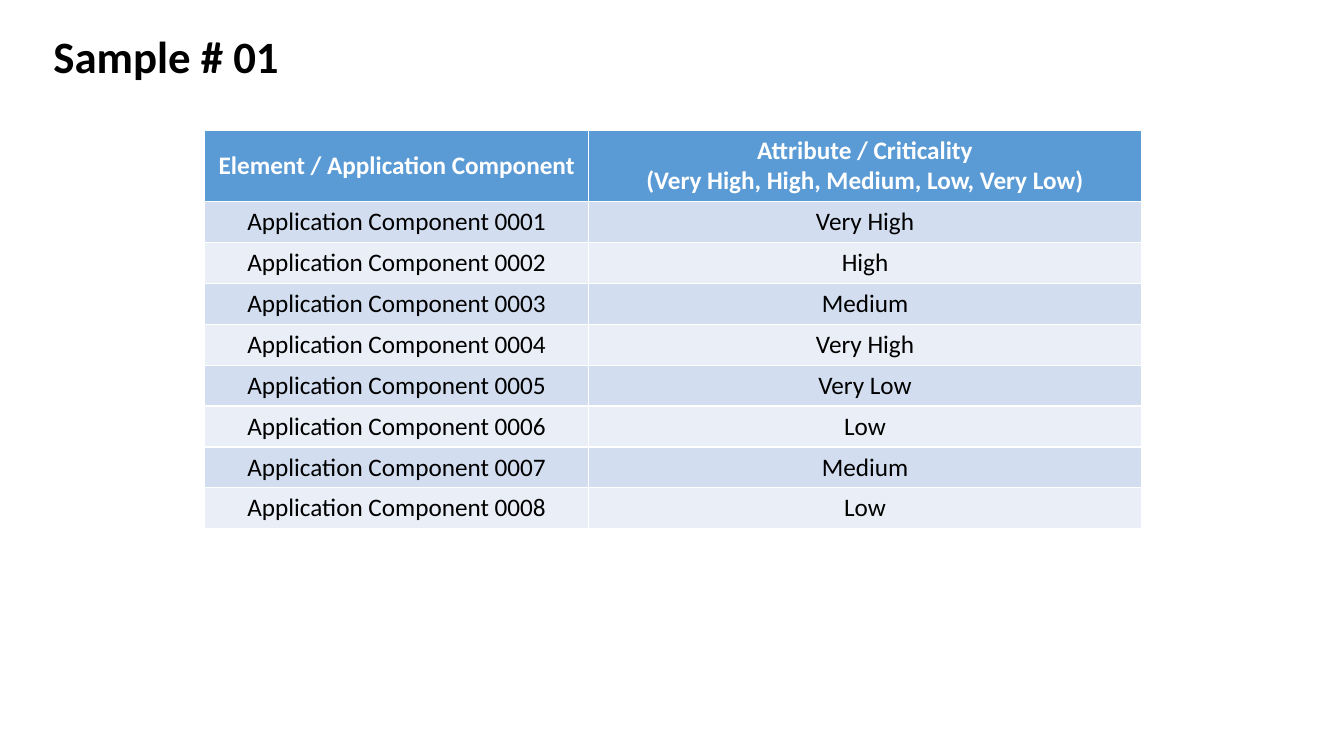
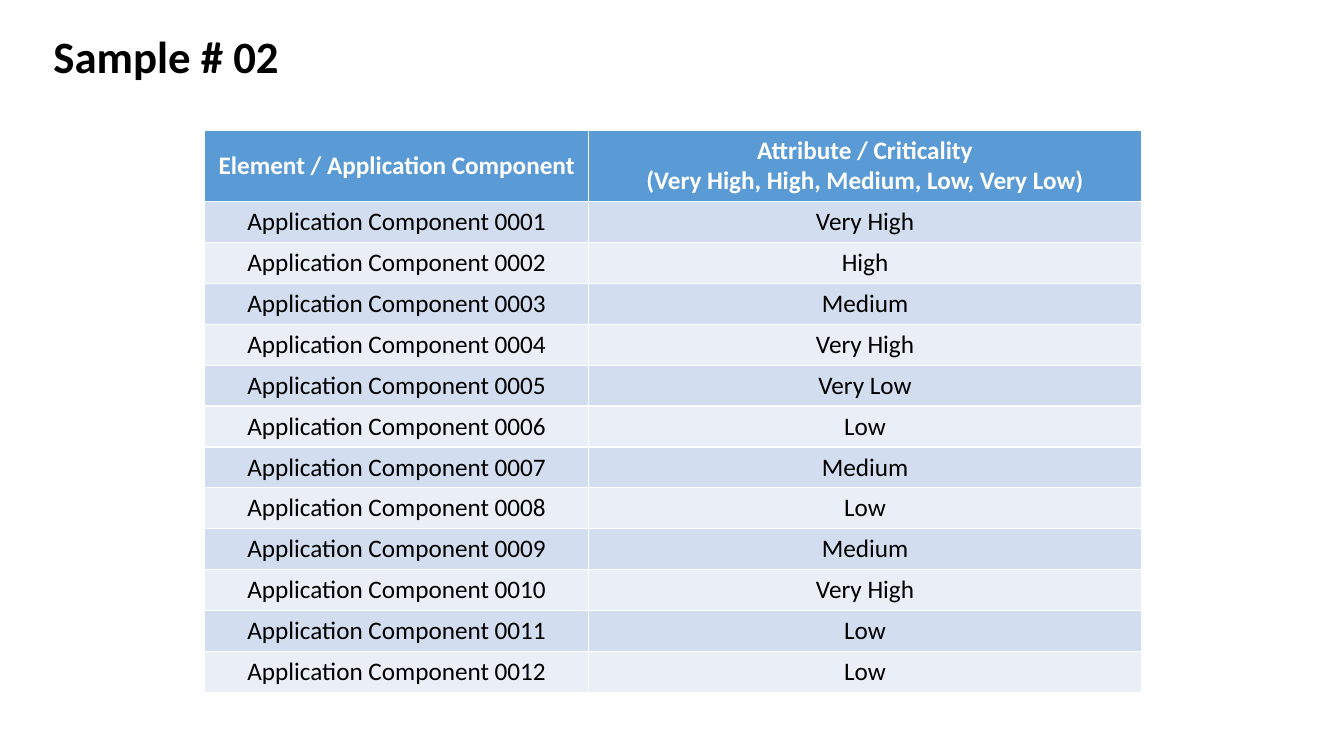
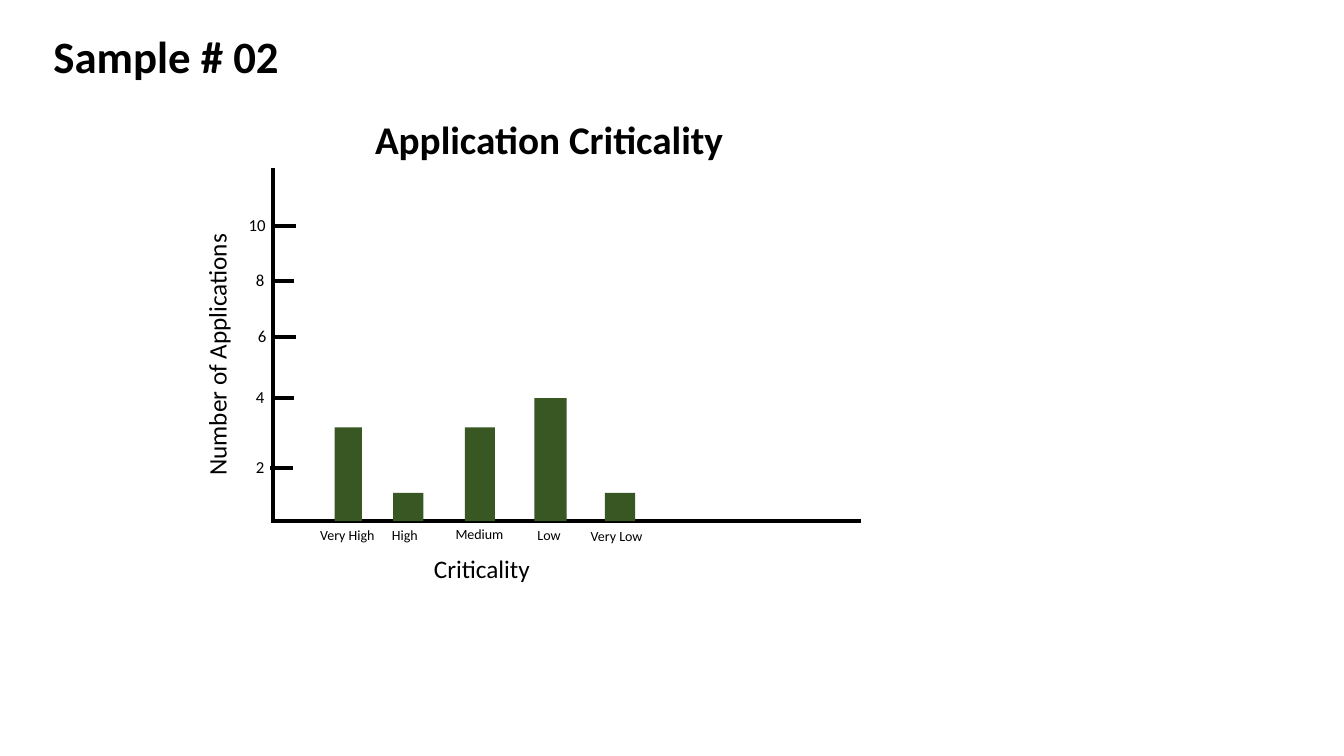
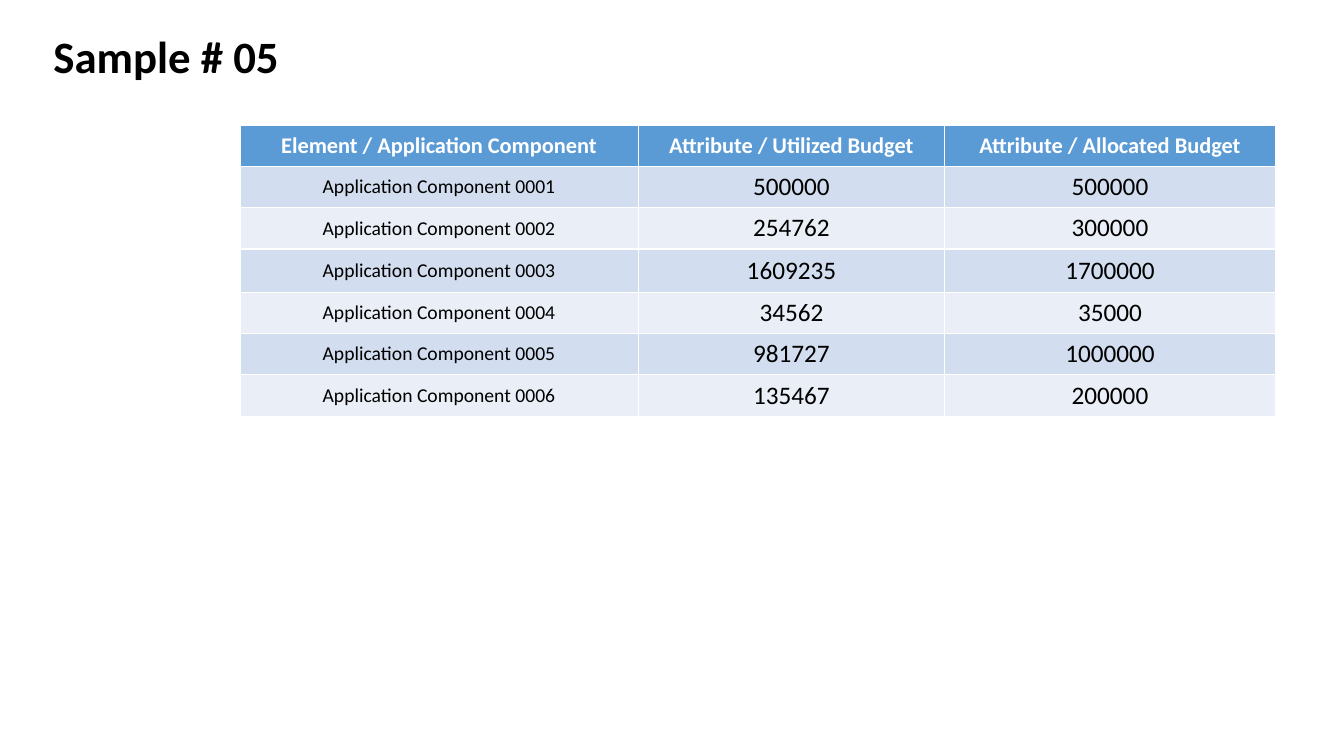
from dataclasses import dataclass

from lxml.etree import SubElement
from pptx import Presentation
from pptx.dml.color import RGBColor
from pptx.enum.shapes import MSO_CONNECTOR, MSO_SHAPE
from pptx.enum.text import MSO_ANCHOR, MSO_AUTO_SIZE, PP_ALIGN
from pptx.oxml.ns import qn
from pptx.util import Inches, Pt


@dataclass(frozen=True)
class Theme:
    font: str = "Calibri"
    text: RGBColor = RGBColor(0x00, 0x00, 0x00)
    header_text: RGBColor = RGBColor(0xFF, 0xFF, 0xFF)
    header_fill: RGBColor = RGBColor(0x5B, 0x9B, 0xD5)
    row_fills: tuple = (RGBColor(0xD2, 0xDE, 0xEF), RGBColor(0xEA, 0xEF, 0xF7))
    bar: RGBColor = RGBColor(0x38, 0x57, 0x23)
    title_size: int = 32
    heading_size: int = 28
    body_size: int = 18
    budget_header_size: int = 16
    component_size: int = 14
    value_size: int = 12
    category_size: int = 10
    axis_width: int = 3


theme = Theme()
prs = Presentation()
prs.slide_width, prs.slide_height = Inches(13.33), Inches(7.5)


def add_titled_slide(title_text):
    slide = prs.slides.add_slide(prs.slide_layouts[5])
    title = slide.shapes.title
    title.left, title.top = Inches(0.43), Inches(0.23)
    title.width, title.height = Inches(6.13), Inches(0.64)
    title.text_frame.text = title_text
    title.text_frame.auto_size = MSO_AUTO_SIZE.NONE
    heading = title.text_frame.paragraphs[0]
    heading.alignment = PP_ALIGN.LEFT
    heading.font.name = theme.font
    heading.font.size = Pt(theme.title_size)
    heading.font.bold = True
    heading.font.color.rgb = theme.text
    return slide


def add_component_table(slide, left, top, widths, heights, rows, header_size, sizes):
    """Add a banded table; the first row is the header, sizes are per body column."""
    table = slide.shapes.add_table(
        len(rows), len(widths), Inches(left), Inches(top),
        Inches(sum(widths)), Inches(sum(heights))).table
    for column, width in zip(table.columns, widths):
        column.width = Inches(width)
    for r, (row, height) in enumerate(zip(rows, heights)):
        table.rows[r].height = Inches(height)
        is_header = r == 0
        for c, value in enumerate(row):
            cell = table.cell(r, c)
            cell.text = value
            cell.vertical_anchor = MSO_ANCHOR.MIDDLE
            cell.fill.solid()
            cell.fill.fore_color.rgb = (
                theme.header_fill if is_header else theme.row_fills[(r - 1) % 2])
            for paragraph in cell.text_frame.paragraphs:
                paragraph.alignment = PP_ALIGN.CENTER
                paragraph.font.name = theme.font
                paragraph.font.size = Pt(header_size if is_header else sizes[c])
                paragraph.font.bold = is_header
                paragraph.font.color.rgb = theme.header_text if is_header else theme.text


# Criticality tables
criticalities = ["Very High", "High", "Medium", "Very High", "Very Low", "Low",
                 "Medium", "Low", "Medium", "Very High", "Low", "Low"]
criticality_header = ("Element / Application Component",
                      "Attribute / Criticality\n(Very High, High, Medium, Low, Very Low)")

for sample, count in (("Sample # 01", 8), ("Sample # 02", 12)):
    components = [(f"Application Component {number:04}", criticality)
                  for number, criticality in enumerate(criticalities[:count], 1)]
    add_component_table(
        add_titled_slide(sample), 2.03, 1.29, (3.81, 5.48), [0.7] + [0.4] * count,
        [criticality_header] + components, theme.body_size, [theme.body_size] * 2)

# Criticality diagram: its hand-set value axis has uneven steps, so it is drawn with shapes
diagram = add_titled_slide("Sample # 02")
axis_left, axis_top, axis_right, baseline = 2.71, 1.67, 8.54, 5.17
tick_length = 0.23

# value, tick left, tick height on the slide, label left
ticks = [("2", 2.68, 4.64, 2.38), ("4", 2.69, 3.95, 2.38), ("6", 2.71, 3.34, 2.4),
         ("8", 2.69, 2.79, 2.38), ("10", 2.71, 2.24, 2.35)]
# category, label left, label top, bar left, bar top, bar width
bars = [("Very High", 3.07, 5.17, 3.32, 4.24, 0.27),
        ("High", 3.64, 5.17, 3.9, 4.89, 0.3),
        ("Medium", 4.38, 5.16, 4.61, 4.24, 0.3),
        ("Low", 5.07, 5.17, 5.3, 3.95, 0.32),
        ("Very Low", 5.74, 5.18, 6.0, 4.89, 0.3)]

strokes = [(axis_left, axis_top, axis_left, baseline),
           (axis_left - 0.02, baseline, axis_right, baseline)]
strokes += [(left, y, left + tick_length, y) for _, left, y, _ in ticks]
for ends in strokes:
    stroke = diagram.shapes.add_connector(MSO_CONNECTOR.STRAIGHT, *map(Inches, ends))
    stroke.line.color.rgb = theme.text
    stroke.line.width = Pt(theme.axis_width)
    SubElement(stroke._element.spPr, qn("a:effectLst"))

for _, _, _, left, top, width in bars:
    bar = diagram.shapes.add_shape(
        MSO_SHAPE.RECTANGLE, Inches(left), Inches(top),
        Inches(width), Inches(baseline - top))
    bar.shadow.inherit = False
    bar.fill.solid()
    bar.fill.fore_color.rgb = theme.bar
    bar.line.fill.background()

vertical_caption = "Number of Applications"
heading_caption = "Application Criticality"
captions = [(heading_caption, 3.05, 1.09, 4.79, 0.57, theme.heading_size),
            (vertical_caption, 1.95, 2.02, 0.5, 3, theme.body_size),
            ("Criticality", 3.25, 5.44, 3.06, 0.4, theme.body_size)]
captions += [(value, left, y - 0.16, 0.4, 0.3, theme.value_size)
             for value, _, y, left in ticks]
captions += [(category, left, top, 0.75, 0.28, theme.category_size)
             for category, left, top, *_ in bars]
for text, left, top, width, height, size in captions:
    frame = diagram.shapes.add_textbox(
        Inches(left), Inches(top), Inches(width), Inches(height)).text_frame
    frame.word_wrap = True
    frame.text = text
    if text == vertical_caption:
        frame._txBody.bodyPr.set("vert", "vert270")
    caption = frame.paragraphs[0]
    caption.alignment = PP_ALIGN.CENTER
    caption.font.name = theme.font
    caption.font.size = Pt(size)
    caption.font.bold = text == heading_caption
    caption.font.color.rgb = theme.text

# Budget table
budgets = [(500000, 500000), (254762, 300000), (1609235, 1700000),
           (34562, 35000), (981727, 1000000), (135467, 200000)]
budget_rows = [("Element / Application Component", "Attribute / Utilized Budget",
                "Attribute / Allocated Budget")]
budget_rows += [(f"Application Component {number:04}", str(utilized), str(allocated))
                for number, (utilized, allocated) in enumerate(budgets, 1)]
add_component_table(
    add_titled_slide("Sample # 05"), 2.38, 1.24, (3.95, 3.04, 3.28),
    [0.41, 0.41, 0.41, 0.43, 0.41, 0.41, 0.41], budget_rows,
    theme.budget_header_size, (theme.component_size, theme.body_size, theme.body_size))

prs.save("out.pptx")
